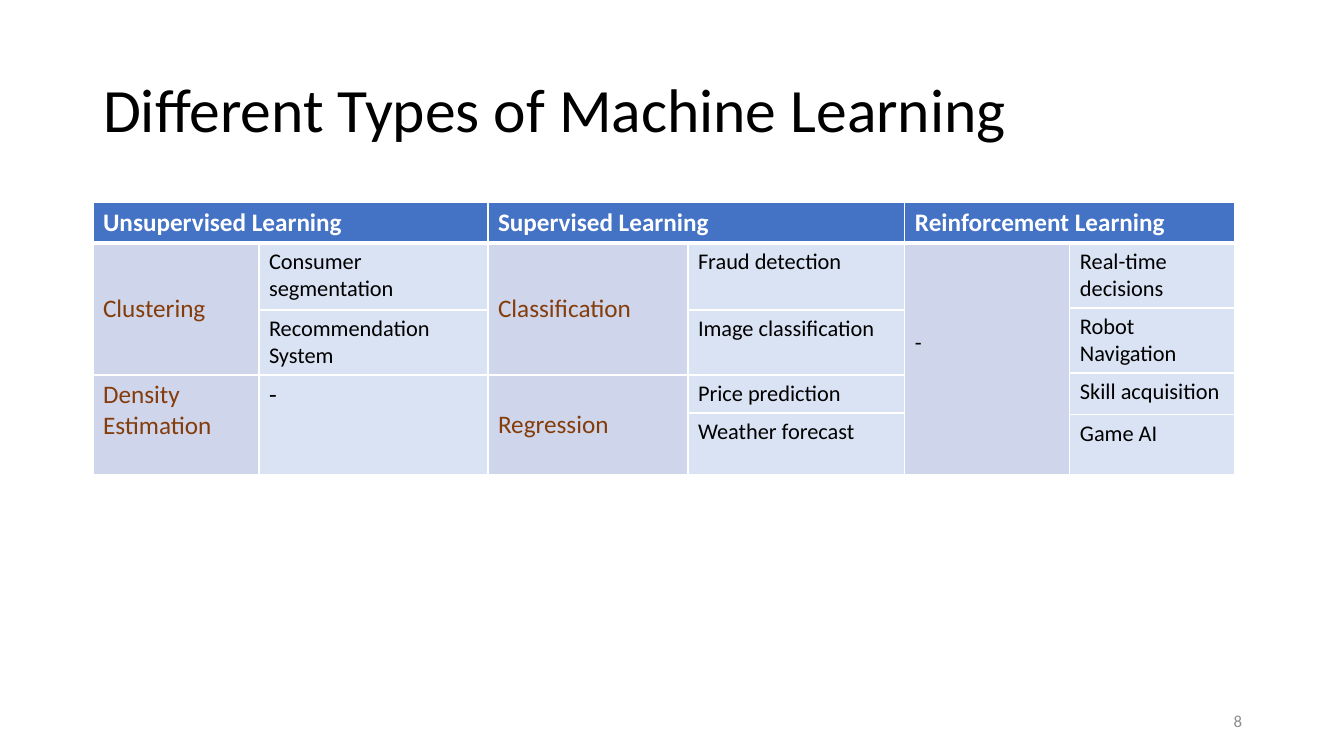
from lxml.etree import SubElement
from pptx import Presentation
from pptx.dml.color import RGBColor
from pptx.enum.text import MSO_ANCHOR as Anchor, PP_ALIGN as Align
from pptx.oxml.ns import qn

PIXEL = 9071  # EMU in one pixel at 100.8 pixels to the inch
POINT = 12700
HEADER, GROUP, EXAMPLE = "4472C4", "CFD5EA", "DAE3F3"
WHITE, BLACK, BROWN, GREY = "FFFFFF", "000000", "843C0B", "8C8C8C"


def color(code):
    return RGBColor.from_string(code)


def write(frame, text, size, ink, bold=False, align=Align.LEFT):
    para = frame.paragraphs[0]
    para.alignment = align
    span = para.add_run()
    span.text = text
    span.font.color.rgb = color(ink)
    for name, value in {"name": "Calibri", "size": size * POINT, "bold": bold}.items():
        setattr(span.font, name, value)
    return para


deck = Presentation()
deck.slide_width, deck.slide_height = 1344 * PIXEL, 756 * PIXEL
page = deck.slides.add_slide(deck.slide_layouts[5])

# Title
title = page.shapes.title
for name, value in {"left": 93, "top": 40, "width": 1143, "height": 146}.items():
    setattr(title, name, value * PIXEL)
title.text_frame.vertical_anchor = Anchor.MIDDLE
write(title.text_frame, "Different Types of Machine Learning", 44, BLACK).line_spacing = 0.9

# Table grid: the thin rows let the columns break at different heights
widths = [166, 229, 200, 217, 165, 165]
heights = [41, 65, 2, 63, 2, 38, 2, 60]
table = page.shapes.add_table(
    len(heights), len(widths), 93 * PIXEL, 202 * PIXEL,
    sum(widths) * PIXEL, sum(heights) * PIXEL).table
table.horz_banding = False
for column, width in zip(table.columns, widths):
    column.width = width * PIXEL
for row, height in zip(table.rows, heights):
    row.height = height * PIXEL

# White borders, thicker below the header
for row_index, row in enumerate(table.rows):
    for cell in row.cells:
        properties = cell._tc.get_or_add_tcPr()
        for side in ("lnL", "lnR", "lnT", "lnB"):
            thick = (row_index, side) in ((0, "lnB"), (1, "lnT"))
            line = SubElement(properties, qn("a:" + side), w=str((3 if thick else 1) * POINT))
            SubElement(SubElement(line, qn("a:solidFill")), qn("a:srgbClr"), val=WHITE)

# Cells: row, column, rows spanned, columns spanned, text
styles = {
    HEADER: (18, WHITE, True, Anchor.TOP),
    GROUP: (18, BROWN, False, Anchor.MIDDLE),
    EXAMPLE: (16, BLACK, False, Anchor.TOP),
}
cells = {
    HEADER: [
        (0, 0, 1, 2, "Unsupervised Learning"),
        (0, 2, 1, 2, "Supervised Learning"),
        (0, 4, 1, 2, "Reinforcement Learning"),
    ],
    GROUP: [
        (1, 0, 4, 1, "Clustering"),
        (5, 0, 3, 1, "Density Estimation"),
        (1, 2, 4, 1, "Classification"),
        (5, 2, 3, 1, "Regression"),
        (1, 4, 7, 1, "-"),
    ],
    EXAMPLE: [
        (1, 1, 2, 1, "Consumer segmentation"),
        (3, 1, 2, 1, "Recommendation System"),
        (5, 1, 3, 1, "-"),
        (1, 3, 2, 1, "Fraud detection"),
        (3, 3, 2, 1, "Image classification"),
        (5, 3, 1, 1, "Price prediction"),
        (6, 3, 2, 1, "Weather forecast"),
        (1, 5, 1, 1, "Real-time decisions"),
        (2, 5, 2, 1, "Robot Navigation"),
        (4, 5, 3, 1, "Skill acquisition"),
        (7, 5, 1, 1, "Game AI"),
    ],
}
for fill, entries in cells.items():
    size, ink, bold, anchor = styles[fill]
    for top, left, rows, columns, text in entries:
        cell = table.cell(top, left)
        if rows * columns > 1:
            cell.merge(table.cell(top + rows - 1, left + columns - 1))
        cell.fill.solid()
        cell.fill.fore_color.rgb = color(fill)
        cell.vertical_anchor = anchor
        write(cell.text_frame, text, size, ink, bold)

# Cells that depart from their style
table.cell(5, 0).vertical_anchor = Anchor.TOP
table.cell(5, 1).text_frame.paragraphs[0].runs[0].font.size = 18 * POINT
no_group = table.cell(1, 4)
no_group.vertical_anchor = Anchor.TOP
no_group.margin_top = 86 * PIXEL
dash = no_group.text_frame.paragraphs[0].runs[0].font
dash.size, dash.color.rgb = 16 * POINT, color(BLACK)

# Slide number
number = page.shapes.add_textbox(950 * PIXEL, 701 * PIXEL, 302 * PIXEL, 40 * PIXEL).text_frame
number.word_wrap = True
number.vertical_anchor = Anchor.MIDDLE
write(number, "8", 12, GREY, align=Align.RIGHT)

deck.save("out.pptx")
